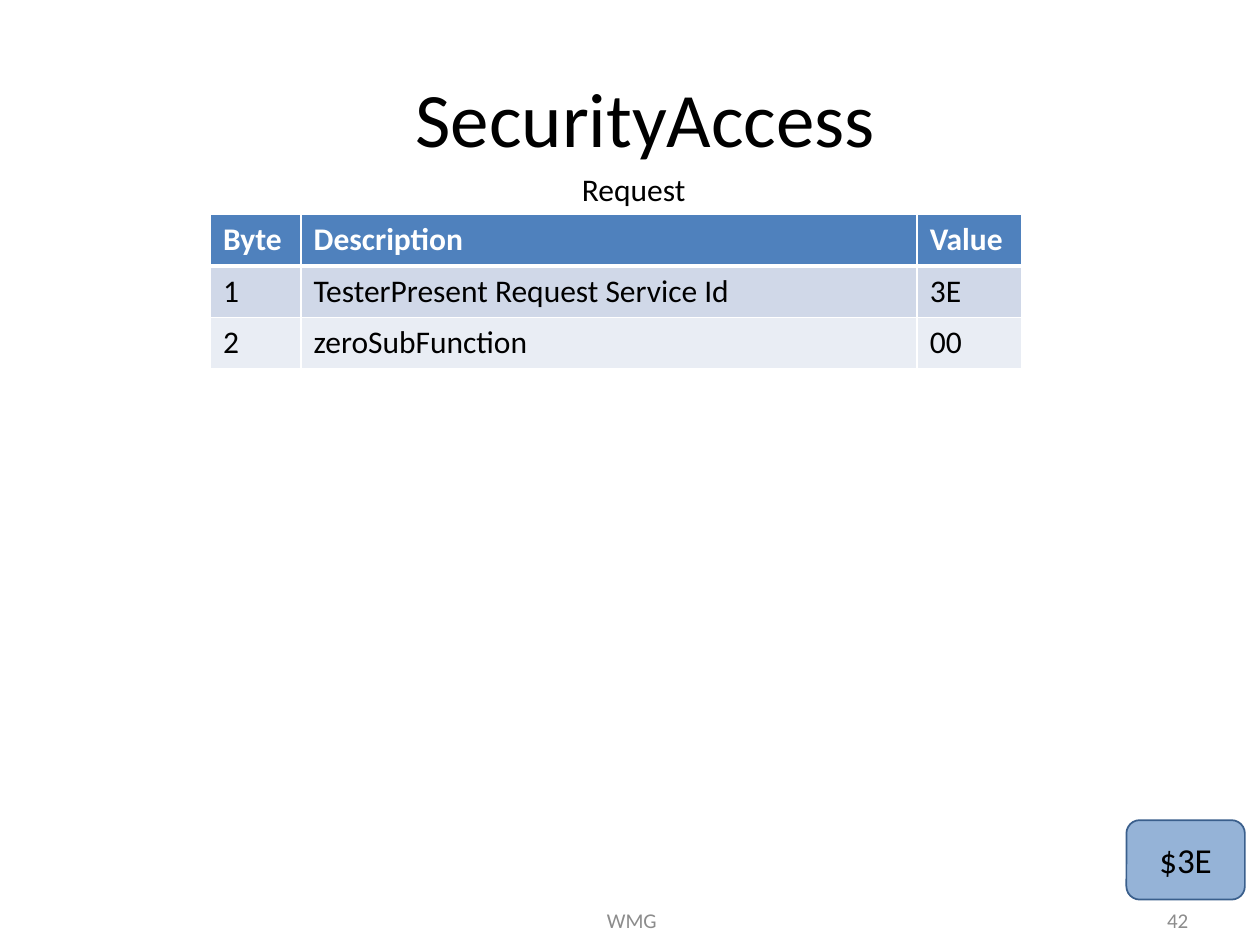
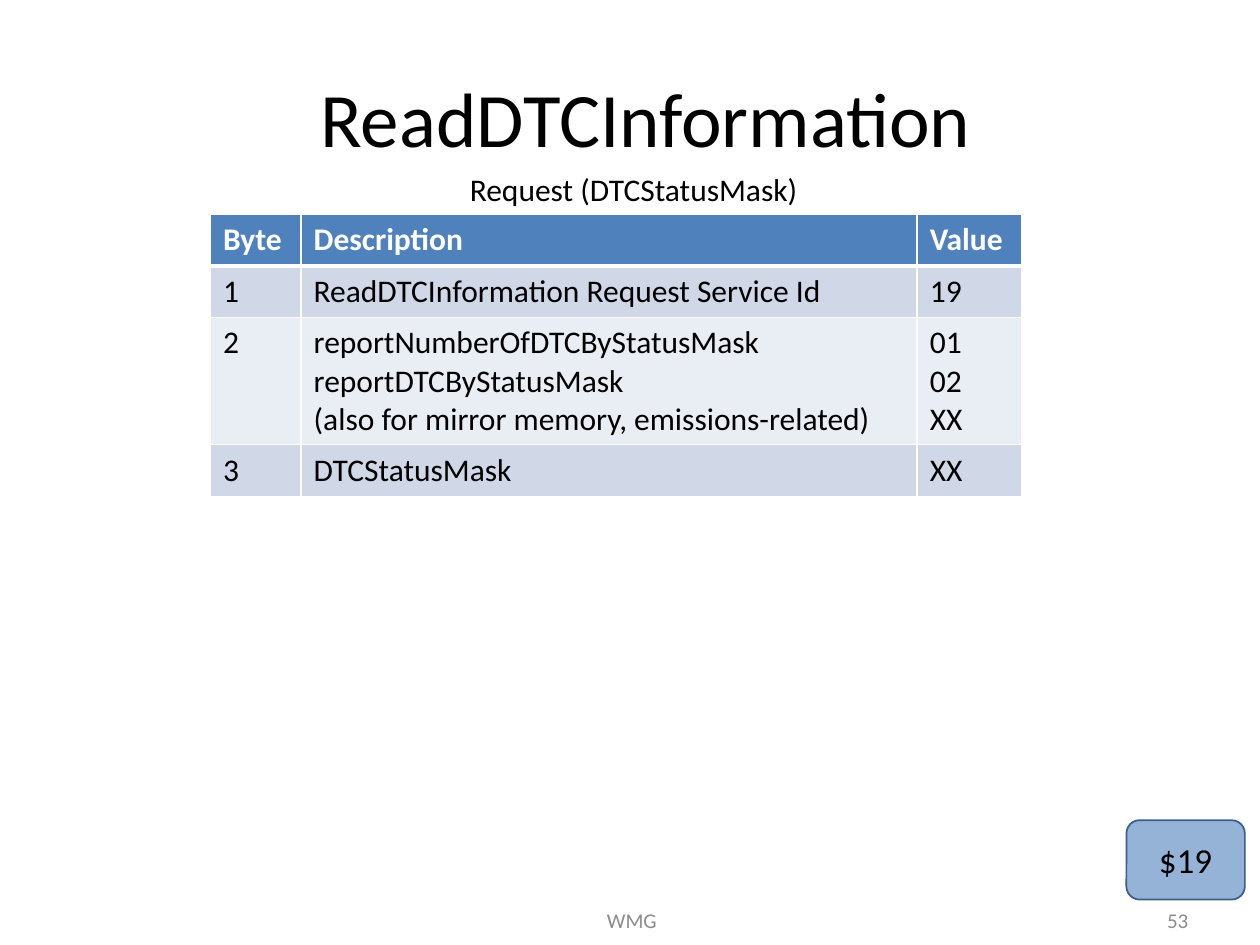
from dataclasses import dataclass

from lxml.etree import SubElement
from pptx import Presentation
from pptx.dml.color import RGBColor
from pptx.enum.shapes import MSO_SHAPE
from pptx.enum.text import MSO_ANCHOR, PP_ALIGN
from pptx.oxml.ns import qn
from pptx.util import Inches, Pt


@dataclass(frozen=True)
class Theme:
    font: str = "Calibri"
    black: str = "000000"
    white: str = "FFFFFF"
    grey: str = "8C8C8C"
    header: str = "4F81BD"
    bands: tuple = ("D0D8E8", "E9EDF4")
    badge: str = "95B3D7"
    badge_line: str = "3A5F8C"
    title_size: int = 44
    badge_size: int = 20
    body_size: int = 18
    footer_size: int = 12


THEME = Theme()
FOOTER = "WMG"
CAPTION_CENTRE = 5.03
TABLE_LEFT, TABLE_TOP = 1.67, 1.7
COLUMN_WIDTHS = (0.72, 4.89, 0.83)
ROW_HEIGHT, EXTRA_LINE = 0.41, 0.3
HEADINGS = ("Byte", "Description", "Value")

# Text with line breaks becomes one paragraph per line
SERVICES = [
    {
        "title": "SecurityAccess",
        "caption": "Request",
        "caption_width": 1.03,
        "rows": [
            ("1", "TesterPresent Request Service Id", "3E"),
            ("2", "zeroSubFunction", "00"),
        ],
        "badge": "$3E",
        "number": "42",
    },
    {
        "title": "ReadDTCInformation",
        "caption": "Request (DTCStatusMask)",
        "caption_width": 2.83,
        "rows": [
            ("1", "ReadDTCInformation Request Service Id", "19"),
            (
                "2",
                "reportNumberOfDTCByStatusMask\nreportDTCByStatusMask\n"
                "(also for mirror memory, emissions-related)",
                "01\n02\nXX",
            ),
            ("3", "DTCStatusMask", "XX"),
        ],
        "badge": "$19",
        "number": "53",
    },
]


def write(frame, text, size, color=THEME.black, align=PP_ALIGN.LEFT, bold=False):
    """Fill a text frame, one paragraph per line."""
    font_format = {"name": THEME.font, "size": Pt(size), "bold": bold}
    for index, line in enumerate(text.split("\n")):
        para = frame.paragraphs[0] if index == 0 else frame.add_paragraph()
        para.alignment = align
        span = para.add_run()
        span.text = line
        for name, value in font_format.items():
            setattr(span.font, name, value)
        span.font.color.rgb = RGBColor.from_string(color)


def add_label(page, area, text, size, color=THEME.black, align=PP_ALIGN.CENTER,
              anchor=MSO_ANCHOR.MIDDLE, wrap=True):
    box = page.shapes.add_textbox(*map(Inches, area))
    box.text_frame.word_wrap = wrap
    box.text_frame.vertical_anchor = anchor
    write(box.text_frame, text, size, color, align)


def add_badge(page, text):
    """Service identifier in the bottom right corner."""
    badge = page.shapes.add_shape(
        MSO_SHAPE.ROUNDED_RECTANGLE, *map(Inches, (8.94, 6.51, 0.94, 0.63)))
    badge.shadow.inherit = False
    badge.fill.solid()
    badge.fill.fore_color.rgb = RGBColor.from_string(THEME.badge)
    badge.line.color.rgb = RGBColor.from_string(THEME.badge_line)
    badge.line.width = Pt(1)
    badge.text_frame.vertical_anchor = MSO_ANCHOR.MIDDLE
    write(badge.text_frame, text, THEME.badge_size, align=PP_ALIGN.CENTER)


def set_borders(cell, top, bottom):
    """Draw white cell borders; widths are in points."""
    properties = cell._tc.get_or_add_tcPr()
    for side, width in {"L": 1, "R": 1, "T": top, "B": bottom}.items():
        line = SubElement(properties, qn(f"a:ln{side}"), w=str(Pt(width)))
        fill = SubElement(line, qn("a:solidFill"))
        SubElement(fill, qn("a:srgbClr"), val=THEME.white)


def add_message_table(page, body_rows):
    rows = [HEADINGS, *body_rows]
    heights = [
        ROW_HEIGHT + EXTRA_LINE * max(text.count("\n") for text in row)
        for row in rows
    ]
    area = (TABLE_LEFT, TABLE_TOP, sum(COLUMN_WIDTHS), sum(heights))
    table = page.shapes.add_table(
        len(rows), len(COLUMN_WIDTHS), *map(Inches, area)).table
    for column, width in zip(table.columns, COLUMN_WIDTHS):
        column.width = Inches(width)

    for index, texts in enumerate(rows):
        table.rows[index].height = Inches(heights[index])
        is_header = index == 0
        fill = THEME.header if is_header else THEME.bands[(index - 1) % 2]
        color = THEME.white if is_header else THEME.black
        for cell, text in zip(table.rows[index].cells, texts):
            set_borders(cell, top=3 if index == 1 else 1,
                        bottom=3 if is_header else 1)
            cell.fill.solid()
            cell.fill.fore_color.rgb = RGBColor.from_string(fill)
            write(cell.text_frame, text, THEME.body_size, color, bold=is_header)


def add_footer(page, number):
    add_label(page, (3.43, 7.1, 3.17, 0.4), FOOTER, THEME.footer_size, THEME.grey)
    add_label(page, (7.2, 7.1, 2.33, 0.4), number, THEME.footer_size, THEME.grey,
              PP_ALIGN.RIGHT)


def add_service_page(deck, service):
    page = deck.slides.add_slide(deck.slide_layouts[6])
    add_label(page, (0.75, 0.3, 8.75, 1.25), service["title"], THEME.title_size)
    add_footer(page, service["number"])
    add_message_table(page, service["rows"])
    add_badge(page, service["badge"])
    # Caption centred above the table
    width = service["caption_width"]
    add_label(page, (CAPTION_CENTRE - width / 2, 1.3, width, 0.4),
              service["caption"], THEME.body_size, anchor=MSO_ANCHOR.TOP, wrap=False)


def main():
    deck = Presentation()
    deck.slide_width, deck.slide_height = Inches(10), Inches(7.5)
    for service in SERVICES:
        add_service_page(deck, service)
    deck.save("out.pptx")


if __name__ == "__main__":
    main()
